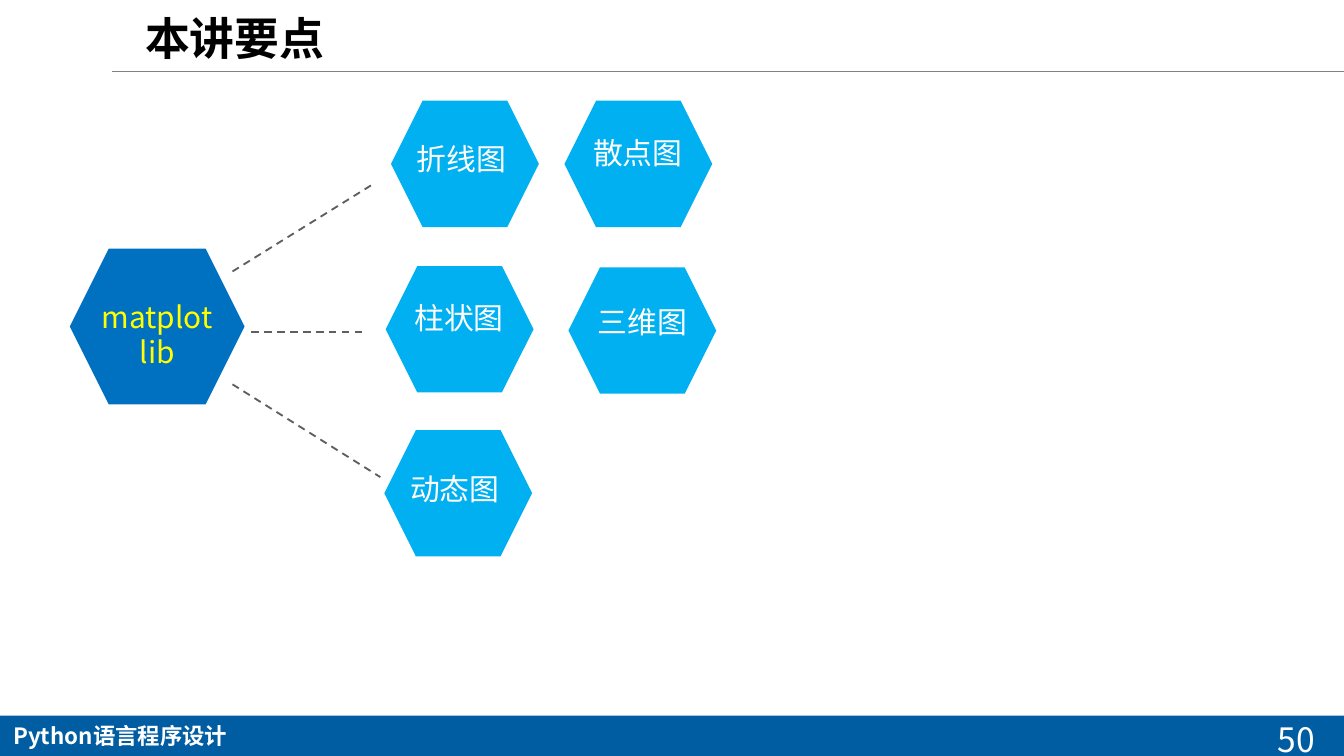
from lxml.etree import SubElement
from pptx import Presentation
from pptx.dml.color import RGBColor
from pptx.enum.dml import MSO_LINE
from pptx.enum.shapes import MSO_CONNECTOR, MSO_SHAPE
from pptx.enum.text import MSO_ANCHOR, PP_ALIGN
from pptx.oxml.ns import qn
from pptx.util import Inches, Pt

FONT = "Noto Sans CJK SC"
COLORS = {
    "rule": "808080",
    "footer": "005DA2",
    "dash": "5F5F5F",
    "hub": "0070C0",
    "chart": "00B0F0",
    "hub_text": "FFFF00",
    "white": "FFFFFF",
    "black": "000000",
}
PAGE_WIDTH = 10
PAGE_HEIGHT = PAGE_WIDTH * 9 / 16
FOOTER_HEIGHT = 0.3
CHART_SIZE = (1.1, 0.94)
LABEL_HEIGHT = 0.37

# label, hexagon left and top, label left, top and width
CHARTS = [
    ("折线图", (2.91, 0.75), (2.93, 1.0, 1.01)),
    ("柱状图", (2.87, 1.98), (2.91, 2.18, 1.01)),
    ("三维图", (4.23, 1.99), (4.23, 2.21, 1.1)),
    ("动态图", (2.86, 3.2), (2.88, 3.45, 1.01)),
    ("散点图", (4.2, 0.75), (4.24, 0.95, 1.01)),
]
# start and end of each branch from the hub
BRANCHES = [
    ((1.73, 2.86), (2.83, 3.55)),
    ((1.87, 2.47), (2.72, 2.47)),
    ((1.73, 2.02), (2.76, 1.38)),
]


def color(name):
    return RGBColor.from_string(COLORS[name])


def lengths(values):
    return [Inches(value) for value in values]


def write(shape, text, size, ink, bold=False, align=PP_ALIGN.LEFT, anchor=MSO_ANCHOR.TOP):
    """Fill a shape with one paragraph in the deck's Latin and East Asian font."""
    frame = shape.text_frame
    frame.word_wrap = True
    frame.vertical_anchor = anchor
    para = frame.paragraphs[0]
    para.text = text
    para.alignment = align
    para.font.name = FONT
    para.font.size = Pt(size)
    para.font.bold = bold
    para.font.color.rgb = color(ink)
    properties = para._p.pPr.find(qn("a:defRPr"))
    SubElement(properties, qn("a:ea")).set("typeface", FONT)


def add_filled(page, kind, bounds, fill):
    shape = page.shapes.add_shape(kind, *lengths(bounds))
    shape.shadow.inherit = False
    shape.fill.solid()
    shape.fill.fore_color.rgb = color(fill)
    shape.line.fill.background()
    return shape


def add_label(page, bounds, text, size, ink):
    box = page.shapes.add_textbox(*lengths(bounds))
    write(box, text, size, ink, align=PP_ALIGN.CENTER)


def add_line(page, start, end, ink, width, dash=None):
    line = page.shapes.add_connector(MSO_CONNECTOR.STRAIGHT, *lengths(start + end))
    line.line.color.rgb = color(ink)
    line.line.width = Pt(width)
    if dash:
        line.line.dash_style = dash
    SubElement(line._element.spPr, qn("a:effectLst"))


def add_title(page, text):
    title = page.shapes.title
    title.left, title.top, title.width, title.height = lengths((0.98, 0.03, 6.54, 0.5))
    write(title, text, 24, "black", bold=True, anchor=MSO_ANCHOR.MIDDLE)


def add_footer(page, course, number):
    bounds = (0, PAGE_HEIGHT - FOOTER_HEIGHT, PAGE_WIDTH, FOOTER_HEIGHT)
    bar = add_filled(page, MSO_SHAPE.RECTANGLE, bounds, "footer")
    write(bar, course, 12, "white", bold=True)
    add_label(page, (9.31, 5.3, 0.73, 0.4), number, 18, "white")


def add_hexagon(page, bounds, fill, label, label_place, ink):
    add_filled(page, MSO_SHAPE.HEXAGON, bounds, fill)
    add_label(page, label_place + (LABEL_HEIGHT,), label, 16, ink)


def main():
    deck = Presentation()
    deck.slide_width, deck.slide_height = lengths((PAGE_WIDTH, PAGE_HEIGHT))
    page = deck.slides.add_slide(deck.slide_layouts[5])

    add_line(page, (0.83, 0.53), (PAGE_WIDTH, 0.53), "rule", 0.75)
    add_footer(page, "Python语言程序设计", "50 ")
    add_title(page, "本讲要点")

    for start, end in BRANCHES:
        add_line(page, start, end, "dash", 1, MSO_LINE.DASH)
    add_hexagon(page, (0.52, 1.85, 1.3, 1.16), "hub",
                "matplotlib", (0.64, 2.17, 1.06), "hub_text")
    for label, corner, label_place in CHARTS:
        add_hexagon(page, corner + CHART_SIZE, "chart", label, label_place, "white")

    deck.save("out.pptx")


if __name__ == "__main__":
    main()
